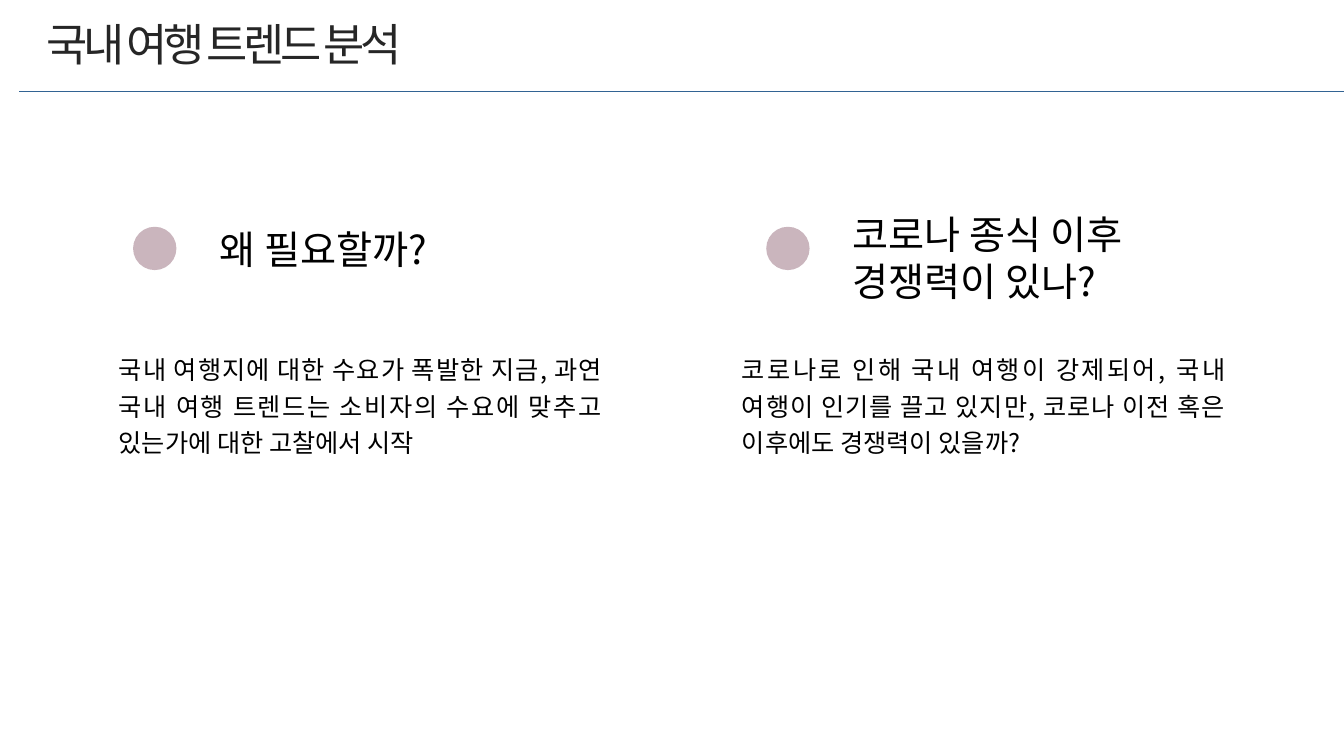
from lxml import etree
from pptx import Presentation
from pptx import util as u
from pptx.dml.color import RGBColor
from pptx.enum import shapes, text
from pptx.oxml.ns import qn

FONT = "Noto Sans CJK KR"
COLORS = {"title": "262626", "body": "000000", "rule": "326393", "dot": "CAB5BD"}

# Each topic: dot left, heading box, heading lines, body box, body text
TOPICS = [
    (1.32, (2.08, 2.19, 2.42, 0.57), ["왜 필요할까?"],
     (1.08, 3.41, 4.99, 1.53),
     "국내 여행지에 대한 수요가 폭발한 지금, 과연 국내 여행 트렌드는 "
     "소비자의 수요에 맞추고 있는가에 대한 고찰에서 시작"),
    (7.6, (8.36, 2.04, 3.09, 1.51), ["코로나 종식 이후", "경쟁력이 있나?"],
     (7.26, 3.41, 4.99, 1.18),
     "코로나로 인해 국내 여행이 강제되어, 국내 여행이 인기를 끌고 있지만, "
     "코로나 이전 혹은 이후에도 경쟁력이 있을까?"),
]


def color(name):
    return RGBColor.from_string(COLORS[name])


def style_span(span, size, color_name, spacing):
    span.font.size = u.Pt(size)
    span.font.color.rgb = color(color_name)
    span.font.name = FONT
    properties = span.font._element
    etree.SubElement(properties, qn("a:ea")).set("typeface", FONT)
    if spacing:
        properties.set("spc", str(spacing * 100))


def add_text(page, place, lines, size, color_name="body", spacing=0, body=False):
    box = page.shapes.add_textbox(*map(u.Inches, place))
    frame = box.text_frame
    frame.text = "\n".join(lines)
    frame.word_wrap = body
    frame.auto_size = text.MSO_AUTO_SIZE.SHAPE_TO_FIT_TEXT
    for para in frame.paragraphs:
        if body:
            para.alignment = text.PP_ALIGN.JUSTIFY
            para.line_spacing = 1.2
        for span in para.runs:
            style_span(span, size, color_name, spacing)


def add_rule(page, left, right, top):
    rule = page.shapes.add_connector(
        shapes.MSO_CONNECTOR.STRAIGHT,
        u.Inches(left), u.Inches(top), u.Inches(right), u.Inches(top))
    rule.line.color.rgb = color("rule")
    rule.line.width = u.Pt(0.5)
    etree.SubElement(rule._element.spPr, qn("a:effectLst"))


def add_dot(page, left, top=2.25, size=0.43):
    dot = page.shapes.add_shape(
        shapes.MSO_SHAPE.OVAL, *map(u.Inches, (left, top, size, size)))
    dot.shadow.inherit = False
    dot.fill.solid()
    dot.fill.fore_color.rgb = color("dot")
    dot.line.fill.background()


def main():
    deck = Presentation()
    deck.slide_width = u.Inches(13.33)
    deck.slide_height = u.Inches(7.5)
    page = deck.slides.add_slide(deck.slide_layouts[6])

    # Title and rule
    add_text(page, (0.36, 0.12, 3.99, 0.64), ["국내 여행 트렌드 분석"],
             32, "title", spacing=-3)
    add_rule(page, 0.19, 13.33, 0.91)

    # Two topics side by side
    for dot_left, heading_place, heading, body_place, body in TOPICS:
        add_dot(page, dot_left)
        add_text(page, heading_place, heading, 28)
        add_text(page, body_place, [body], 18, body=True)

    deck.save("out.pptx")


if __name__ == "__main__":
    main()
